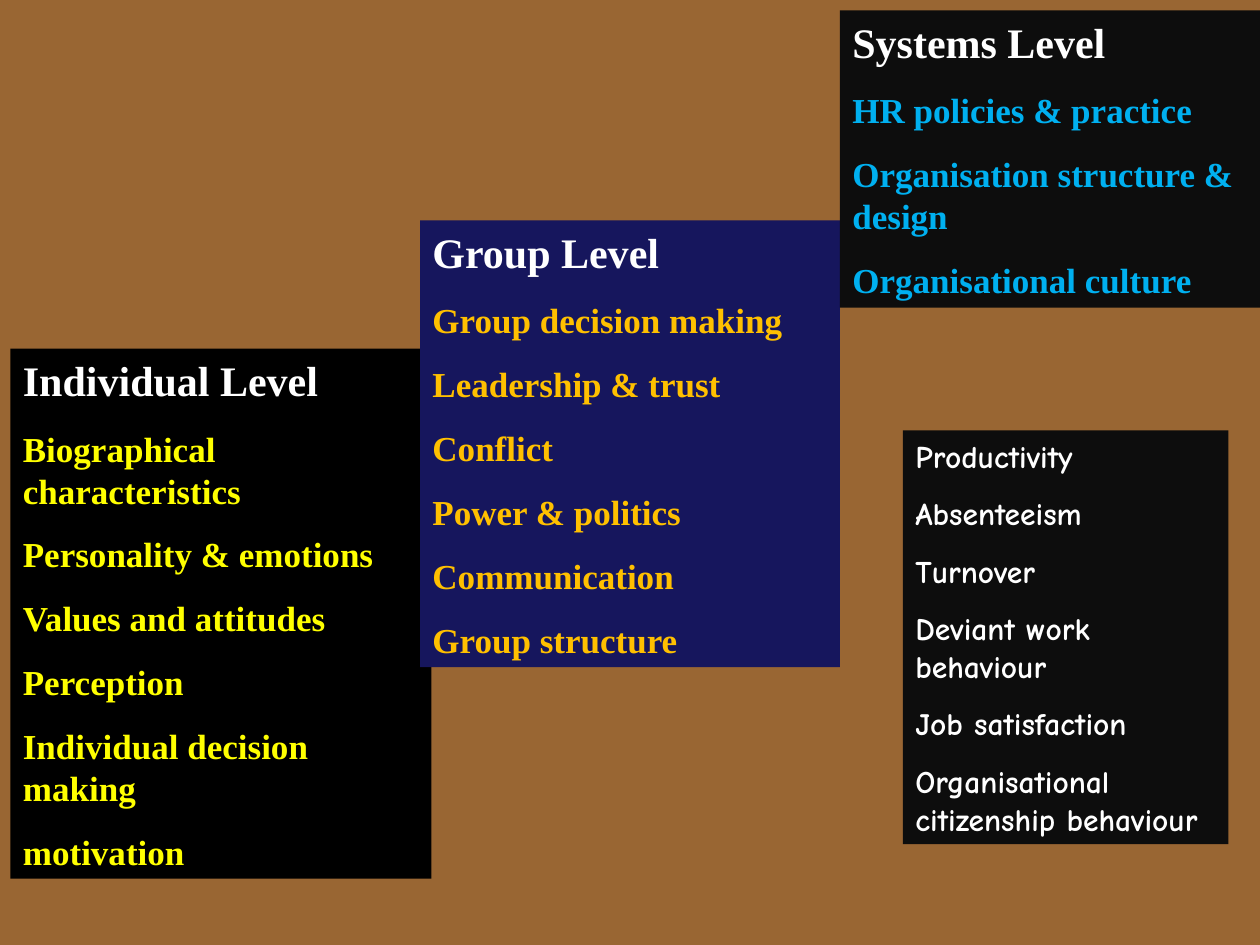
"""Build a slide of three stepped levels of organisational behaviour and their outcomes."""
import pptx
import pptx.dml.color
import pptx.enum.shapes
import pptx.enum.text
import pptx.util

COLOURS = {
    "background": "996633",
    "individual": "000000",
    "group": "16165D",
    "dark": "0D0D0D",
    "white": "FFFFFF",
    "yellow": "FFFF00",
    "amber": "FFC000",
    "sky": "00B0F0",
}
SERIF = "Times New Roman"
CASUAL = "Comic Neue"
COLUMNS, ROWS = 120, 90


def rgb(name):
    return pptx.dml.color.RGBColor.from_string(COLOURS[name])


def write_line(frame, text, *, size, colour, font, first=False):
    line = frame.paragraphs[0] if first else frame.add_paragraph()
    line.text = text
    line.alignment = pptx.enum.text.PP_ALIGN.LEFT
    line.space_before = pptx.util.Pt(0 if first else size * 0.625)
    line.font.size = pptx.util.Pt(size)
    line.font.name = font
    line.font.bold = True
    line.font.color.rgb = rgb(colour)


deck = pptx.Presentation()
deck.slide_width = pptx.util.Inches(10)
deck.slide_height = pptx.util.Inches(7.5)
slide = deck.slides.add_slide(deck.slide_layouts[6])
slide.background.fill.solid()
slide.background.fill.fore_color.rgb = rgb("background")
column = deck.slide_width / COLUMNS
row = deck.slide_height / ROWS

panels = [
    ((1, 33.2, 40.1, 50.5), "individual", "Individual Level", "yellow", SERIF, 20, [
        "Biographical characteristics", "Personality & emotions",
        "Values and attitudes", "Perception",
        "Individual decision making", "motivation"]),
    ((40, 21, 40, 42.55), "group", "Group Level", "amber", SERIF, 20, [
        "Group decision making", "Leadership & trust", "Conflict",
        "Power & politics", "Communication", "Group structure"]),
    ((80, 1, 40, 28.3), "dark", "Systems Level", "sky", SERIF, 20, [
        "HR policies & practice", "Organisation structure & design",
        "Organisational culture"]),
    ((86, 41, 31, 39.4), "dark", None, "white", CASUAL, 18, [
        "Productivity", "Absenteeism", "Turnover", "Deviant work behaviour",
        "Job satisfaction", "Organisational citizenship behaviour"]),
]

for (left, top, width, height), fill, heading, colour, font, size, topics in panels:
    panel = slide.shapes.add_shape(
        pptx.enum.shapes.MSO_SHAPE.RECTANGLE,
        round(left * column), round(top * row),
        round(width * column), round(height * row))
    panel.shadow.inherit = False
    panel.fill.solid()
    panel.fill.fore_color.rgb = rgb(fill)
    panel.line.fill.background()
    frame = panel.text_frame
    frame.word_wrap = True
    frame.auto_size = pptx.enum.text.MSO_AUTO_SIZE.SHAPE_TO_FIT_TEXT
    frame.vertical_anchor = pptx.enum.text.MSO_ANCHOR.TOP
    if heading:
        write_line(frame, heading, size=24, colour="white", font=font, first=True)
    for index, topic in enumerate(topics):
        write_line(frame, topic, size=size, colour=colour, font=font,
                   first=not heading and index == 0)

deck.save("out.pptx")
